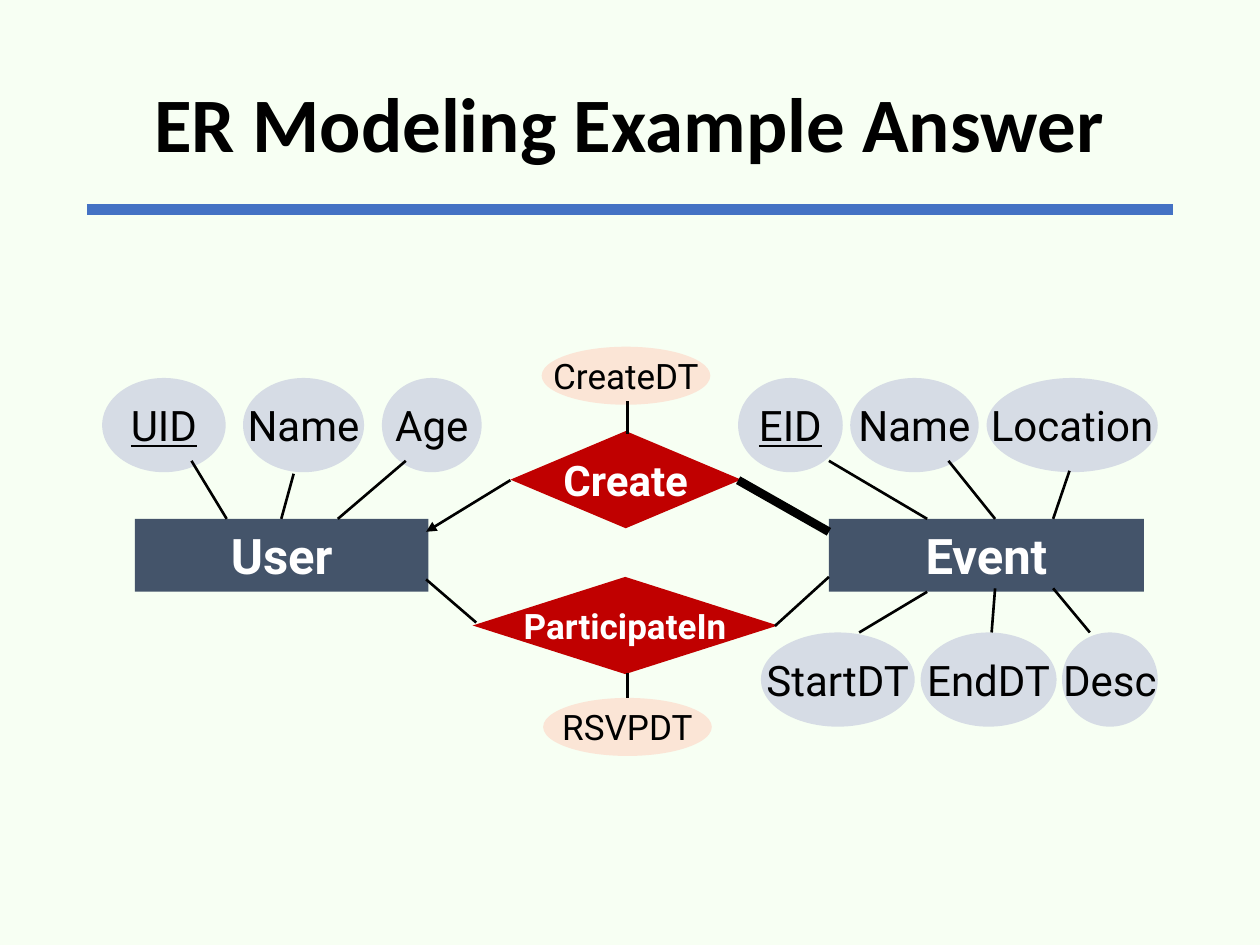
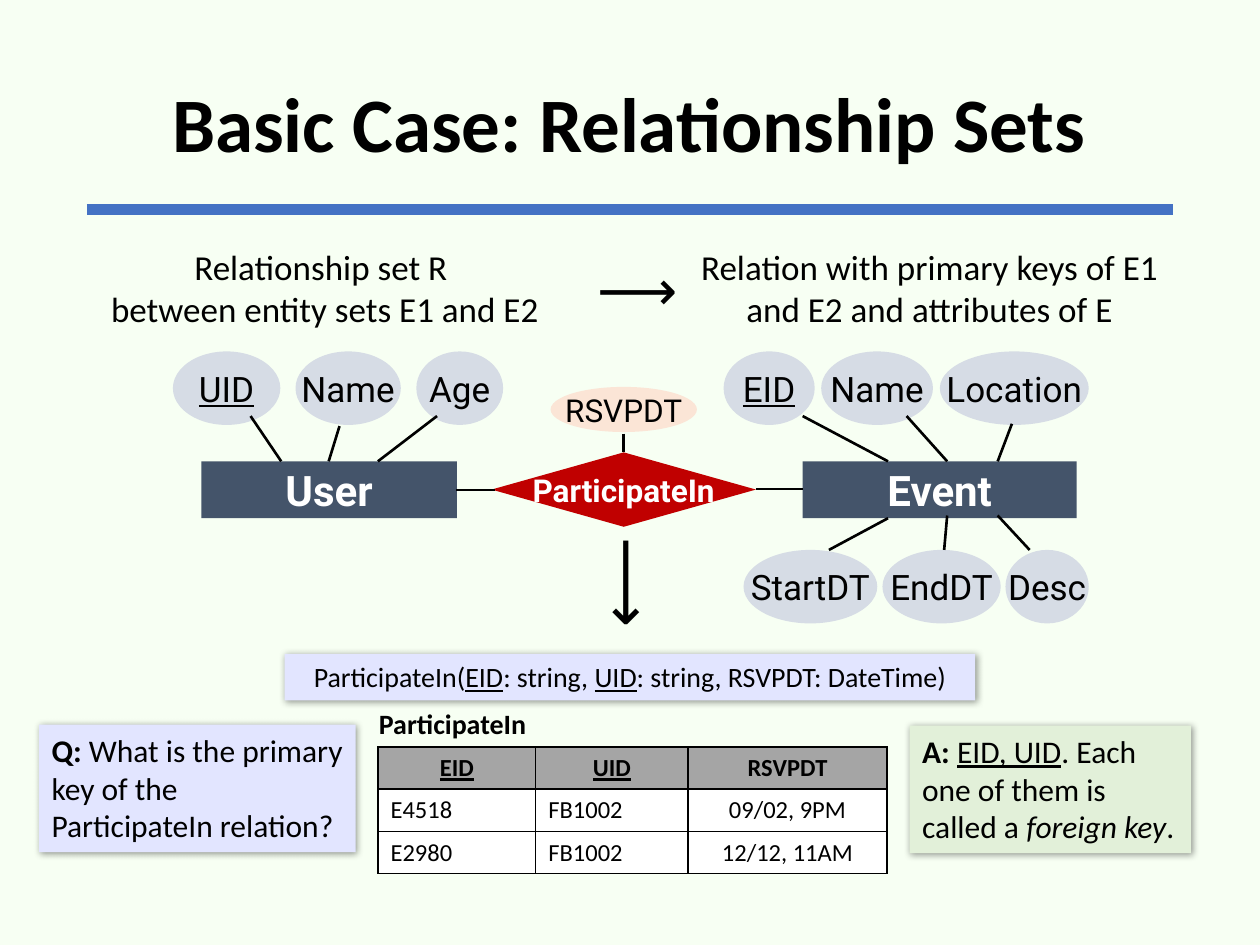
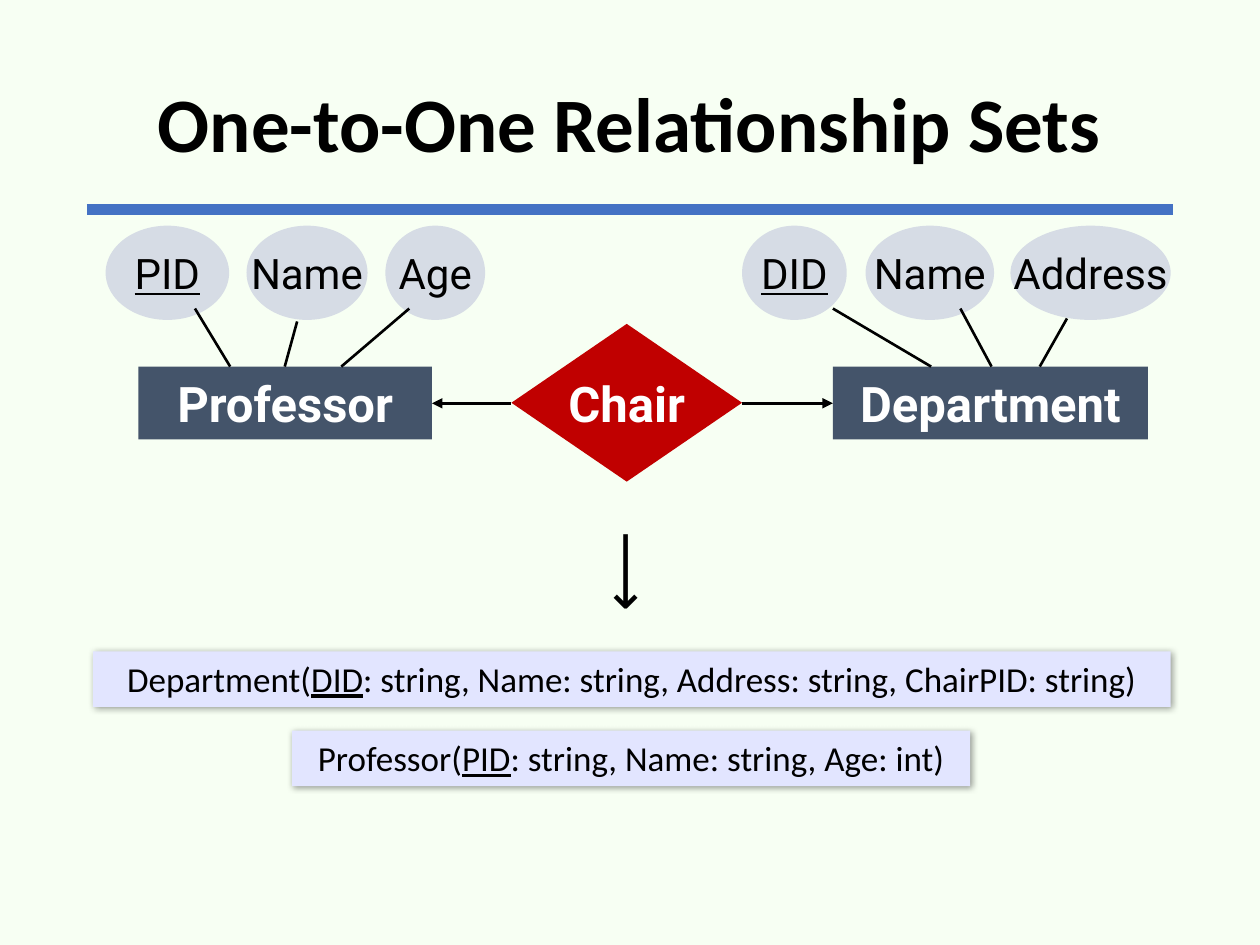
from lxml.etree import SubElement
from pptx import Presentation
from pptx.dml.color import RGBColor
from pptx.enum.shapes import MSO_CONNECTOR, MSO_SHAPE
from pptx.enum.text import MSO_ANCHOR, PP_ALIGN
from pptx.oxml.ns import qn
from pptx.util import Cm, Pt

COLOURS = {
    "background": "F7FFF3",
    "rule": "4472C4",
    "entity": "44546A",
    "attribute": "D6DCE5",
    "relationship": "C00000",
    "relationship attribute": "FBE5D6",
    "schema": "E2E5FF",
    "answer": "E2F0D9",
    "header": "A5A5A5",
    "black": "000000",
    "white": "FFFFFF",
}

# Attributes of an entity, in cm from the top left corner of its box:
# (name, style, left, top, width, link start, link end)
ABOVE, BELOW = -2.84, 2.29
NAME_AND_AGE = [
    ("Name", "", 2.18, ABOVE, 2.44, (2.95, 0), (3.2, -0.91)),
    ("Age", "", 4.98, ABOVE, 2.01, (4.09, 0), (5.46, -1.17)),
]


def person_key(name):
    return (name, "u", -0.66, ABOVE, 2.49, (1.85, 0), (1.14, -1.17))


def thing_key(name):
    return (name, "u", -1.83, ABOVE, 2.11, (1.98, 0), (0, -1.17))


USER = [person_key("UID"), *NAME_AND_AGE]
PROFESSOR = [person_key("PID"), *NAME_AND_AGE]
EVENT = [
    thing_key("EID"),
    ("Name", "", 0.43, ABOVE, 2.59, (3.35, 0), (2.41, -1.17)),
    ("Location", "", 3.18, ABOVE, 3.45, (4.52, 0), (4.85, -0.97)),
    ("StartDT", "", -1.37, BELOW, 3.1, (1.98, 1.47), (0.61, BELOW)),
    ("EndDT", "", 1.85, BELOW, 2.74, (3.35, 1.4), (3.28, BELOW)),
    ("Desc", "", 4.7, BELOW, 1.93, (4.52, 1.4), (5.26, BELOW)),
]
DEPARTMENT = [
    thing_key("DID"),
    ("Name", "", 0.66, ABOVE, 2.59, (3.2, 0), (2.57, -1.17)),
    ("Address", "", 3.58, ABOVE, 3.23, (4.17, 0), (4.72, -0.97)),
]
PERSON_WIDTH, THING_WIDTH = 5.92, 6.35
ENTITY_HEIGHT, ATTRIBUTE_HEIGHT = 1.47, 1.9


def colour(name):
    return RGBColor.from_string(COLOURS[name])


class Diagram:
    """Holds the deck, its style and the slide being drawn; lengths are in cm."""

    body_font = "Calibri"
    node_font = "Roboto"

    def __init__(self):
        self.deck = Presentation()
        self.deck.slide_width, self.deck.slide_height = Cm(25.4), Cm(19.05)
        self.page = None

    def start_page(self, title):
        self.page = self.deck.slides.add_slide(self.deck.slide_layouts[6])
        fill = self.page.background.fill
        fill.solid()
        fill.fore_color.rgb = colour("background")
        self.line((1.75, 4.22), (23.65, 4.22), 6, "rule")
        self.text((1.75, 0.61, 21.89, 3.68), [[(title, "b")]], 44,
                  PP_ALIGN.CENTER, anchor=MSO_ANCHOR.MIDDLE)

    def add_spans(self, frame, paragraphs, size, align, ink="black", font=body_font):
        """Fill a frame from lists of (text, style); style letters are b, i, u."""
        for index, spans in enumerate(paragraphs):
            para = frame.add_paragraph() if index else frame.paragraphs[0]
            para.alignment = align
            for words, style in spans:
                span = para.add_run()
                span.text = words
                span.font.name, span.font.size = font, Pt(size)
                span.font.color.rgb = colour(ink)
                span.font.bold = "b" in style
                span.font.italic = "i" in style
                span.font.underline = "u" in style

    def text(self, place, paragraphs, size, align=PP_ALIGN.LEFT,
             font=body_font, anchor=MSO_ANCHOR.TOP):
        box = self.page.shapes.add_textbox(*map(Cm, place))
        box.text_frame.word_wrap = True
        box.text_frame.vertical_anchor = anchor
        self.add_spans(box.text_frame, paragraphs, size, align, font=font)
        return box

    def long_arrow(self, place, size, rotation=0):
        arrow = self.text(place, [[("⟶", "")]], size, font=self.node_font)
        arrow.rotation = rotation

    def shape(self, kind, place, fill):
        box = self.page.shapes.add_shape(kind, *map(Cm, place))
        box.shadow.inherit = False
        box.fill.solid()
        box.fill.fore_color.rgb = colour(fill)
        box.line.fill.background()
        return box

    def node(self, kind, place, fill, words, size, style="", ink="black"):
        box = self.shape(kind, place, fill)
        box.text_frame.word_wrap = False
        box.text_frame.vertical_anchor = MSO_ANCHOR.MIDDLE
        self.add_spans(box.text_frame, [[(words, style)]], size, PP_ALIGN.CENTER,
                       ink, self.node_font)

    def relationship(self, place, words, size):
        self.node(MSO_SHAPE.DIAMOND, place, "relationship", words, size, "b", "white")

    def relationship_attribute(self, place, words, size):
        self.node(MSO_SHAPE.OVAL, place, "relationship attribute", words, size)

    def entity(self, name, corner, width, attributes, size=28, scale=(1, 1)):
        """Draw an entity box with its attributes and the links between them."""
        def at(x, y):
            return corner[0] + x * scale[0], corner[1] + y * scale[1]

        def sized(width, height):
            return width * scale[0], height * scale[1]

        self.node(MSO_SHAPE.RECTANGLE, (*corner, *sized(width, ENTITY_HEIGHT)),
                  "entity", name, size, "b", "white")
        for words, style, left, top, oval_width, start, end in attributes:
            place = (*at(left, top), *sized(oval_width, ATTRIBUTE_HEIGHT))
            self.node(MSO_SHAPE.OVAL, place, "attribute", words, size - 4, style)
            self.line(at(*start), at(*end))

    def line(self, start, end, width=1.5, ink="black", arrow=False):
        """Draw a straight line, with an arrowhead at its start if asked."""
        link = self.page.shapes.add_connector(
            MSO_CONNECTOR.STRAIGHT, *map(Cm, (*start, *end)))
        link.line.width = Pt(width)
        link.line.color.rgb = colour(ink)
        properties = link.element.spPr
        if arrow:
            SubElement(properties.find(qn("a:ln")), qn("a:headEnd"), type="triangle")
        SubElement(properties, qn("a:effectLst"))

    def card(self, place, spans, size, align=PP_ALIGN.CENTER, fill="schema"):
        box = self.shape(MSO_SHAPE.RECTANGLE, place, fill)
        effects = box.element.spPr.find(qn("a:effectLst"))
        shadow = SubElement(effects, qn("a:outerShdw"), blurRad=str(Pt(4)),
                            dist=str(Pt(1)), dir="2700000", algn="tl", rotWithShape="0")
        ink = SubElement(shadow, qn("a:srgbClr"), val=COLOURS["black"])
        SubElement(ink, qn("a:alpha"), val="40000")
        box.text_frame.word_wrap = True
        box.text_frame.vertical_anchor = MSO_ANCHOR.TOP
        self.add_spans(box.text_frame, [spans], size, align)

    def table(self, corner, widths, row_height, rows, header_styles, size):
        place = (*corner, sum(widths), row_height * len(rows))
        grid = self.page.shapes.add_table(len(rows), len(widths), *map(Cm, place)).table
        grid.horz_banding = False
        for column, width in zip(grid.columns, widths):
            column.width = Cm(width)
        last = len(widths) - 1
        for r, row in enumerate(rows):
            grid.rows[r].height = Cm(row_height)
            for c, words in enumerate(row):
                cell = grid.cell(r, c)
                self.border(cell)
                cell.fill.solid()
                cell.fill.fore_color.rgb = colour("white" if r else "header")
                centred = r == 0 or c == last
                self.add_spans(cell.text_frame, [[(words, "" if r else header_styles[c])]],
                               size, PP_ALIGN.CENTER if centred else PP_ALIGN.LEFT)

    def border(self, cell):
        properties = cell._tc.get_or_add_tcPr()
        for side in ("lnL", "lnR", "lnT", "lnB"):
            edge = SubElement(properties, qn(f"a:{side}"), w=str(Pt(1)))
            SubElement(SubElement(edge, qn("a:solidFill")), qn("a:srgbClr"),
                       val=COLOURS["black"])


def draw_example_answer(diagram):
    diagram.start_page("ER Modeling Example Answer")
    diagram.entity("User", (2.72, 10.46), PERSON_WIDTH, USER)
    diagram.entity("Event", (16.71, 10.46), THING_WIDTH, EVENT)

    diagram.relationship((10.29, 8.69, 4.65, 1.96), "Create", 24)
    diagram.line((16.71, 10.72), (14.88, 9.68), width=5)
    diagram.line((8.59, 10.72), (10.29, 9.68), arrow=True)
    diagram.relationship_attribute((10.92, 6.99, 3.4, 1.17), "CreateDT", 20)
    diagram.line((12.65, 8.08), (12.65, 8.74))

    diagram.relationship((9.53, 11.63, 6.15, 1.96), "ParticipateIn", 20)
    diagram.line((16.71, 11.63), (15.62, 12.62))
    diagram.line((8.59, 11.68), (9.6, 12.55))
    diagram.relationship_attribute((10.95, 14.07, 3.4, 1.17), "RSVPDT", 20)
    diagram.line((12.65, 13.56), (12.65, 14.07))


def draw_relationship_sets(diagram):
    diagram.start_page("Basic Case: Relationship Sets")
    diagram.text((1.75, 4.83, 9.6, 1.96),
                 [[("Relationship set R ", "")], [("between entity sets E1 and E2", "")]],
                 20, PP_ALIGN.CENTER)
    diagram.long_arrow((11.79, 5, 2.06, 1.63), 32)
    diagram.text((13.84, 4.83, 9.8, 1.96),
                 [[("Relation with primary keys of E1 and E2 and attributes of E", "")]],
                 20, PP_ALIGN.CENTER)

    scale = (0.87, 0.78)
    diagram.entity("User", (4.06, 9.3), PERSON_WIDTH, USER, 24, scale)
    diagram.entity("Event", (16.18, 9.3), THING_WIDTH, EVENT, 24, scale)
    diagram.relationship((9.91, 9.12, 5.33, 1.5), "ParticipateIn", 18)
    diagram.line((16.18, 9.86), (15.24, 9.86))
    diagram.line((9.19, 9.88), (9.98, 9.88))
    diagram.relationship_attribute((11.1, 7.8, 2.95, 0.91), "RSVPDT", 18)
    diagram.line((12.57, 8.74), (12.57, 9.12))
    diagram.long_arrow((11.51, 10.9, 2.41, 1.8), 36, rotation=90)

    diagram.table((7.62, 15.06), (3.18, 3.07, 4.01), 0.85,
                  [("EID", "UID", "RSVPDT"),
                   ("E4518", "FB1002", "09/02, 9PM"),
                   ("E2980", "FB1002", "12/12, 11AM")],
                  ("bu", "bu", "b"), 14)
    diagram.text((7.39, 14.12, 3.8, 0.94), [[("ParticipateIn", "b")]], 16)
    diagram.card((0.79, 14.61, 6.38, 2.57),
                 [("Q: ", "b"),
                  ("What is the primary key of the ParticipateIn relation?", "")],
                 18, PP_ALIGN.LEFT)
    diagram.card((18.34, 14.63, 5.67, 2.57),
                 [("A: ", "b"), ("EID, UID", "u"), (". Each one of them is called a ", ""),
                  ("foreign key", "i"), (".", "")],
                 18, PP_ALIGN.LEFT, "answer")
    diagram.card((5.74, 13.18, 13.92, 0.94),
                 [("ParticipateIn(", ""), ("EID", "u"), (": string, ", ""), ("UID", "u"),
                  (": string, RSVPDT: DateTime)", "")], 16)


def draw_one_to_one(diagram):
    diagram.start_page("One-to-One Relationship Sets")
    diagram.entity("Professor", (2.79, 7.39), PERSON_WIDTH, PROFESSOR)
    diagram.entity("Department", (16.79, 7.39), THING_WIDTH, DEPARTMENT)
    diagram.relationship((10.31, 6.53, 4.65, 3.18), "Chair", 28)
    diagram.line((16.79, 8.13), (14.96, 8.13), arrow=True)
    diagram.line((8.71, 8.13), (10.31, 8.13), arrow=True)
    diagram.long_arrow((11.76, 10.59, 1.88, 1.63), 32, rotation=90)
    diagram.card((1.88, 13.13, 21.72, 1.12),
                 [("Department(", ""), ("DID", "u"),
                  (": string, Name: string, Address: string, ChairPID: string)", "")], 20)
    diagram.card((5.89, 14.73, 13.67, 1.12),
                 [("Professor(", ""), ("PID", "u"),
                  (": string, Name: string, Age: int)", "")], 20)


def main():
    diagram = Diagram()
    draw_example_answer(diagram)
    draw_relationship_sets(diagram)
    draw_one_to_one(diagram)
    diagram.deck.save("out.pptx")


if __name__ == "__main__":
    main()
